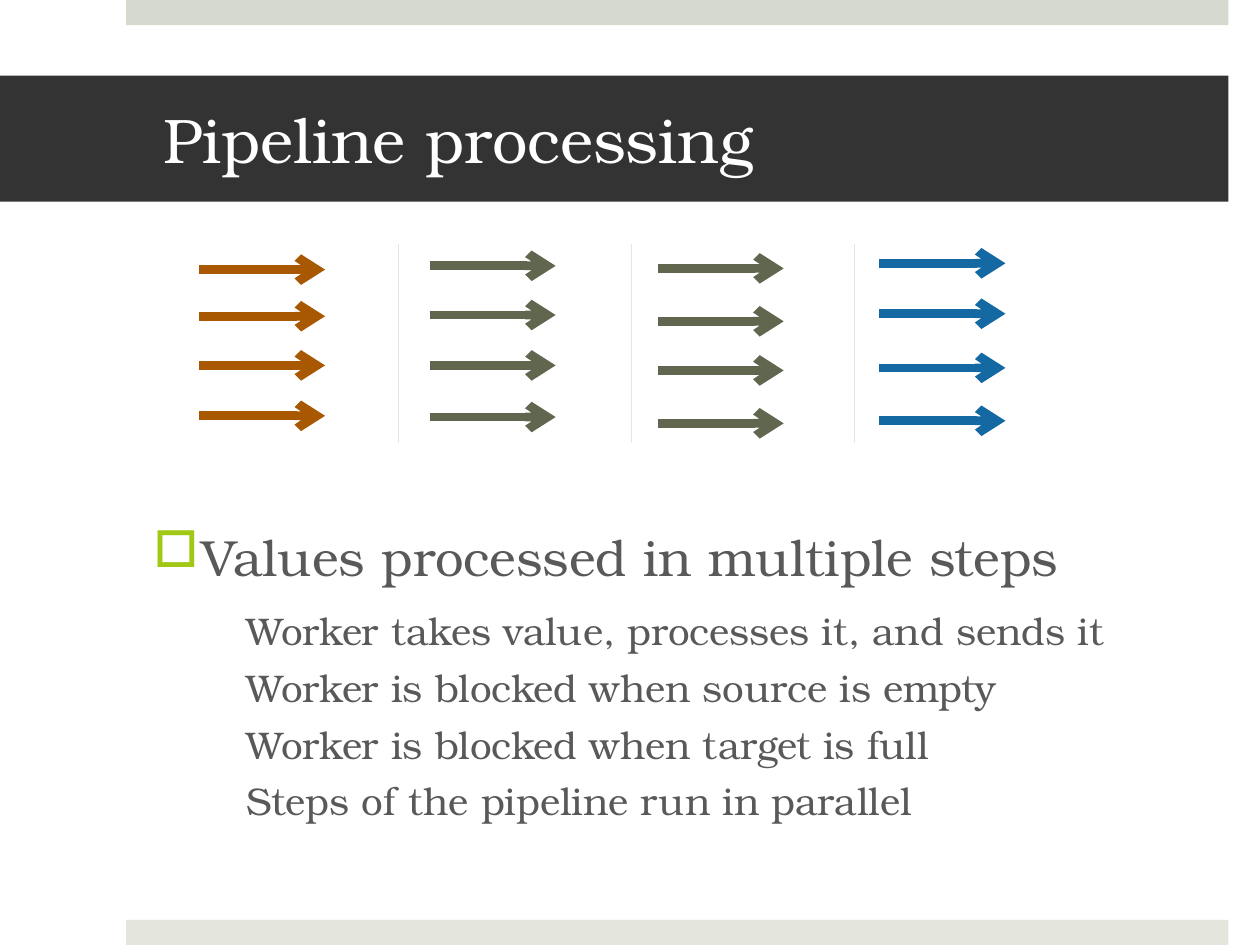
from pptx import Presentation, util as u
from pptx.dml.color import RGBColor
from pptx.enum import shapes, text
from pptx.oxml.ns import qn
from lxml import etree

FONT = "TeX Gyre Bonum"
ROWS = [
    (1.58, "A85801", (2.14, 2.51, 2.9, 3.3)),
    (3.41, "61674F", (2.11, 2.5, 2.9, 3.31)),
    (5.22, "61674F", (2.13, 2.55, 2.94, 3.36)),
    (6.98, "1469A2", (2.09, 2.49, 2.92, 3.34)),
]
QUEUE_EDGES = (3.16, 5.01, 6.78)
STEPS = [
    "Worker takes value, processes it, and sends it",
    "Worker is blocked when source is empty",
    "Worker is blocked when target is full",
    "Steps of the pipeline run in parallel",
]


def rgb(color):
    return RGBColor.from_string(color)


def place(sp, *box):
    sp.left, sp.top, sp.width, sp.height = map(u.Inches, box)


def add_run(p, words, size, color):
    r = p.add_run()
    r.text = words
    r.font.name = FONT
    r.font.size = u.Pt(size)
    r.font.color.rgb = rgb(color)


def add_bar(s, top, color):
    sp = s.shapes.add_shape(shapes.MSO_SHAPE.RECTANGLE, 0, 0, 0, 0)
    place(sp, 1, top, 8.75, 0.2)
    sp.shadow.inherit = False
    sp.fill.solid()
    sp.fill.fore_color.rgb = rgb(color)
    sp.line.fill.background()


def add_title(s, words):
    sp = s.shapes.title
    place(sp, 0, 0.6, 9.75, 1)
    sp.fill.solid()
    sp.fill.fore_color.rgb = rgb("333333")
    tf = sp.text_frame
    tf.auto_size = text.MSO_AUTO_SIZE.NONE
    tf.vertical_anchor = text.MSO_ANCHOR.MIDDLE
    tf.margin_left, tf.margin_right = u.Inches(1.3), u.Inches(0.3)
    p = tf.paragraphs[0]
    p.alignment = text.PP_ALIGN.LEFT
    add_run(p, words, 36, "FFFFFF")


def add_line(s, x1, y1, x2, y2, color, width, arrow=False):
    ends = map(u.Inches, (x1, y1, x2, y2))
    sp = s.shapes.add_connector(shapes.MSO_CONNECTOR.STRAIGHT, *ends)
    sp.line.color.rgb = rgb(color)
    sp.line.width = u.Pt(width)
    if arrow:
        etree.SubElement(sp.line._get_or_add_ln(), qn("a:tailEnd"), type="arrow")
    etree.SubElement(sp._element.spPr, qn("a:effectLst"))


def set_indent(p, margin, hanging=0):
    pPr = p._p.get_or_add_pPr()
    pPr.set("marL", str(u.Inches(margin)))
    pPr.set("indent", str(-u.Inches(hanging)))
    return pPr


def set_bullet(pPr, char, color):
    clr = etree.SubElement(pPr, qn("a:buClr"))
    etree.SubElement(clr, qn("a:srgbClr"), val=color)
    etree.SubElement(pPr, qn("a:buChar"), char=char)


def add_body(s, heading, steps):
    sp = s.shapes.add_textbox(0, 0, 0, 0)
    place(sp, 1.12, 4.12, 8.43, 2.73)
    tf = sp.text_frame
    tf.word_wrap = True
    p = tf.paragraphs[0]
    p.space_after = u.Pt(6)
    set_bullet(set_indent(p, 0.38, 0.38), "□", "A2C816")
    add_run(p, heading, 29, "595959")
    for step in steps:
        p = tf.add_paragraph()
        p.level = 1
        p.space_before = u.Pt(6)
        set_indent(p, 0.74)
        add_run(p, step, 22, "595959")


def main():
    prs = Presentation()
    prs.slide_width, prs.slide_height = u.Inches(10), u.Inches(7.5)
    s = prs.slides.add_slide(prs.slide_layouts[5])
    add_bar(s, 0, "D6D9CD")
    add_bar(s, 7.3, "E4E6DE")
    add_title(s, "Pipeline processing")
    add_body(s, "Values processed in multiple steps", STEPS)
    for x in QUEUE_EDGES:
        add_line(s, x, 1.94, x, 3.52, "E6E6E6", 0.5)
    for x, color, tops in ROWS:
        for y in tops:
            add_line(s, x, y, x + 1, y, color, 5, arrow=True)
    prs.save("out.pptx")


if __name__ == "__main__":
    main()
